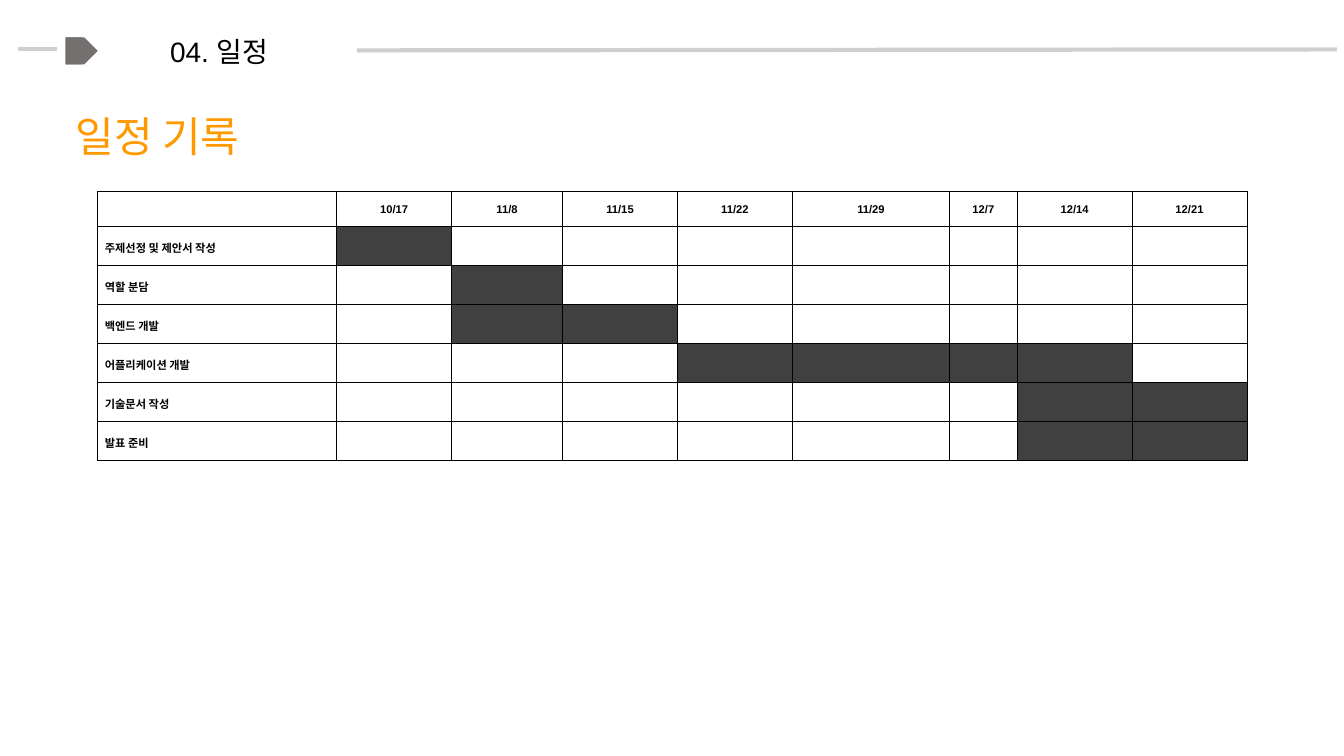
from lxml import etree
from pptx import Presentation
from pptx import util as u
from pptx.dml import color
from pptx.enum import shapes, text
from pptx.oxml import ns

COLORS = {"black": "000000", "white": "FFFFFF", "orange": "FF9900",
          "marker": "757070", "rule": "D0CECE", "bar": "404040"}


def rgb(name):
    return color.RGBColor.from_string(COLORS[name])


def box(*lengths):
    return [u.Inches(n) for n in lengths]


class Deck:
    font = "Arial"
    rule_width = 3
    border_width = 0.68

    def __init__(self, prs):
        self.s = prs.slides.add_slide(prs.slide_layouts[5])

    def label(self, tf, words, size, tint="black", bold=False,
              align=text.PP_ALIGN.LEFT, spacing=1.0):
        tf.text = words
        p = tf.paragraphs[0]
        p.alignment = align
        p.line_spacing = spacing
        r = p.runs[0]
        r.font.name = self.font
        r.font.size = u.Pt(size)
        r.font.bold = bold
        r.font.color.rgb = rgb(tint)
        return p

    def frame(self, sp):
        tf = sp.text_frame
        tf.word_wrap = True
        tf.auto_size = text.MSO_AUTO_SIZE.NONE
        tf.vertical_anchor = text.MSO_ANCHOR.MIDDLE
        return tf

    def title(self, words, place, size):
        sp = self.s.shapes.title
        sp.left, sp.top, sp.width, sp.height = box(*place)
        self.label(self.frame(sp), words, size, align=text.PP_ALIGN.CENTER)

    def textbox(self, words, place, size, tint, spacing):
        sp = self.s.shapes.add_textbox(*box(*place))
        self.label(self.frame(sp), words, size, tint, spacing=spacing)

    def shape(self, kind, place, tint):
        sp = self.s.shapes.add_shape(kind, *box(*place))
        sp.shadow.inherit = False
        sp.fill.solid()
        sp.fill.fore_color.rgb = rgb(tint)
        sp.line.fill.background()

    def line(self, *ends):
        ln = self.s.shapes.add_connector(shapes.MSO_CONNECTOR.STRAIGHT, *box(*ends))
        ln.line.color.rgb = rgb("rule")
        ln.line.width = u.Pt(self.rule_width)
        etree.SubElement(ln._element.spPr, ns.qn("a:effectLst"))

    def borders(self, cell):
        tcPr = cell._tc.get_or_add_tcPr()
        for side in ("lnL", "lnR", "lnT", "lnB"):
            ln = etree.SubElement(tcPr, ns.qn(f"a:{side}"), w=str(int(u.Pt(self.border_width))))
            fill = etree.SubElement(ln, ns.qn("a:solidFill"))
            etree.SubElement(fill, ns.qn("a:srgbClr"), val=COLORS["black"])

    def cell(self, cell, words, tint, align):
        self.borders(cell)
        cell.fill.solid()
        cell.fill.fore_color.rgb = rgb(tint)
        cell.margin_left = cell.margin_right = u.Inches(0.07)
        cell.margin_top = cell.margin_bottom = u.Inches(0.1 if words else 0)
        if words:
            p = self.label(cell.text_frame, words, 8, bold=True, align=align, spacing=1.15)
            p.space_before = p.space_after = u.Pt(12)

    def gantt(self, dates, tasks, left, top, widths, row_height):
        size = len(tasks) + 1, len(dates) + 1
        place = box(left, top, sum(widths), row_height * size[0])
        table = self.s.shapes.add_table(*size, *place).table
        table.first_row = table.horz_banding = False
        for column, width in zip(table.columns, widths):
            column.width = u.Inches(width)
        for row in table.rows:
            row.height = u.Inches(row_height)
        for j, date in enumerate([""] + dates):
            self.cell(table.cell(0, j), date, "white", text.PP_ALIGN.CENTER)
        for i, (task, start, end) in enumerate(tasks, 1):
            first, last = dates.index(start) + 1, dates.index(end) + 1
            for j in range(size[1]):
                tint = "bar" if first <= j <= last else "white"
                self.cell(table.cell(i, j), "" if j else task, tint, text.PP_ALIGN.LEFT)


prs = Presentation()
prs.slide_width, prs.slide_height = box(13.33, 7.5)
deck = Deck(prs)

deck.shape(shapes.MSO_SHAPE.CHEVRON, (0.65, 0.37, 0.32, 0.27), "marker")
deck.shape(shapes.MSO_SHAPE.RECTANGLE, (0.65, 0.37, 0.16, 0.27), "marker")
deck.line(0.18, 0.49, 0.57, 0.49)
deck.line(3.54, 0.5, 13.26, 0.49)
deck.title("04. 일정", (0.81, 0.24, 2.73, 0.53), 20)
deck.textbox("일정 기록", (0.65, 0.97, 6.83, 0.61), 30, "orange", 1.3)

dates = ["10/17", "11/8", "11/15", "11/22", "11/29", "12/7", "12/14", "12/21"]
tasks = [
    ("주제선정 및 제안서 작성", "10/17", "10/17"),
    ("역할 분담", "11/8", "11/8"),
    ("백엔드 개발", "11/8", "11/15"),
    ("어플리케이션 개발", "11/22", "12/14"),
    ("기술문서 작성", "12/14", "12/21"),
    ("발표 준비", "12/14", "12/21"),
]
widths = [2.37, 1.14, 1.1, 1.14, 1.14, 1.56, 0.67, 1.14, 1.14]
deck.gantt(dates, tasks, 0.97, 1.9, widths, 0.35)

prs.save("out.pptx")
